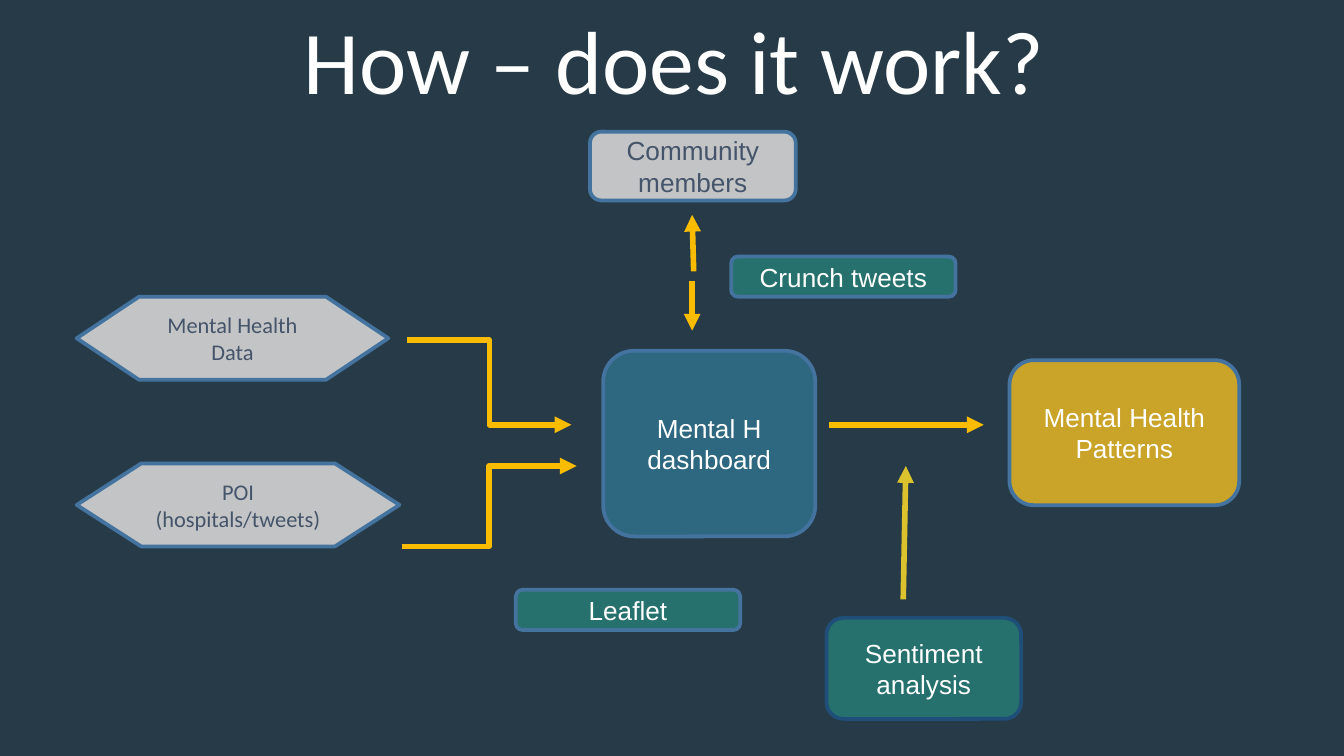
from dataclasses import dataclass

from lxml import etree
from pptx import Presentation
from pptx.dml.color import RGBColor
from pptx.enum.shapes import MSO_CONNECTOR, MSO_SHAPE
from pptx.enum.text import MSO_ANCHOR, MSO_AUTO_SIZE, PP_ALIGN
from pptx.oxml.ns import qn
from pptx.util import Cm, Pt

ROUND, HEXAGON = MSO_SHAPE.ROUNDED_RECTANGLE, MSO_SHAPE.FLOWCHART_PREPARATION
STRAIGHT, ELBOW = MSO_CONNECTOR.STRAIGHT, MSO_CONNECTOR.ELBOW
CENTER, MIDDLE = PP_ALIGN.CENTER, MSO_ANCHOR.MIDDLE
NO_FIT = MSO_AUTO_SIZE.NONE
TITLE_ONLY = 5


@dataclass(frozen=True)
class Theme:
    background: str = "273A47"
    white: str = "FFFFFF"
    slate: str = "44546A"
    grey: str = "C3C4C5"
    blue: str = "2D6880"
    gold: str = "CAA329"
    teal: str = "26716E"
    outline: str = "43739E"
    navy: str = "1F4E79"
    arrow: str = "F9BC00"
    pale_arrow: str = "DCC22C"
    heading: str = "Calibri"
    body: str = "Arial"
    title_size: int = 48
    node_size: int = 14
    source_size: int = 12
    outline_width: int = 2
    arrow_width: int = 3


T = Theme()


def rgb(color):
    return RGBColor.from_string(color)


def write(tf, text, *, size=T.node_size, font=T.body, color=T.white, spacing=None):
    """Fill a text frame with centred paragraphs, one per line of text."""
    tf.word_wrap = True
    tf.auto_size = NO_FIT
    tf.vertical_anchor = MIDDLE
    for i, line in enumerate(text.split("\n")):
        p = tf.add_paragraph() if i else tf.paragraphs[0]
        p.alignment = CENTER
        p.line_spacing = spacing
        r = p.add_run()
        r.text = line
        r.font.size = Pt(size)
        r.font.name = font
        r.font.color.rgb = rgb(color)


def node(s, box, offset, extent, text, fill, *, shape=ROUND, outline=T.outline, **fmt):
    """Add a labelled shape at an offset from the region's corner."""
    sp = s.shapes.add_shape(shape, Cm(box[0] + offset[0]), Cm(box[1] + offset[1]),
                            Cm(extent[0]), Cm(extent[1]))
    sp.shadow.inherit = False
    sp.fill.solid()
    sp.fill.fore_color.rgb = rgb(fill)
    sp.line.color.rgb = rgb(outline)
    sp.line.width = Pt(T.outline_width)
    write(sp.text_frame, text, **fmt)


def arrow(s, box, start, end, *, kind=STRAIGHT, color=T.arrow):
    """Add an arrow between two points relative to the region's corner."""
    x, y = box[:2]
    cx = s.shapes.add_connector(kind, Cm(x + start[0]), Cm(y + start[1]),
                                Cm(x + end[0]), Cm(y + end[1]))
    cx.line.color.rgb = rgb(color)
    cx.line.width = Pt(T.arrow_width)
    spPr = cx._element.spPr
    etree.SubElement(spPr.find(qn("a:ln")), qn("a:tailEnd"), type="triangle")
    etree.SubElement(spPr, qn("a:effectLst"))


def add_title(s, box, text):
    """Heading in the title placeholder."""
    sp = s.shapes.title
    sp.left, sp.top, sp.width, sp.height = map(Cm, box)
    tf = sp.text_frame
    tf.margin_left = tf.margin_right = Cm(0.18)
    tf.margin_top = tf.margin_bottom = Cm(0.1)
    write(tf, text, size=T.title_size, font=T.heading, spacing=0.9)


def add_sources(s, box):
    """Data sources feeding the dashboard from the left."""
    height = 1.57
    sources = [("Mental Health Data", 5.89), ("POI (hospitals/tweets)", 6.1)]
    for i, (text, width) in enumerate(sources):
        node(s, box, (0, i * (box[3] - height)), (width, height), text, T.grey,
             shape=HEXAGON, size=T.source_size, font=T.heading, color=T.slate)
    arrow(s, box, (6.25, 0.82), (9.35, 2.42), kind=ELBOW)
    arrow(s, box, (6.14, box[3]), (box[2], 3.2), kind=ELBOW)


def add_hub(s, box):
    """Dashboard, its community and the tools around it."""
    tag = (4.24, 0.76)
    node(s, box, (1.65, 4.14), (4.01, 3.51), "Mental H\ndashboard", T.blue)
    node(s, box, (1.4, 0), (3.89, 1.3), "Community members", T.grey, color=T.slate)
    node(s, box, (box[2] - tag[0], 2.36), tag, "Crunch tweets", T.teal)
    node(s, box, (0, box[3] - tag[1]), tag, "Leaflet", T.teal)
    arrow(s, box, (3.33, 2.82), (3.33, 3.76))
    arrow(s, box, (3.36, 2.64), (3.33, 1.57))


def add_results(s, box):
    """Patterns found, supported by sentiment analysis."""
    patterns, sentiment = (4.34, 2.74), (3.68, 1.91)
    node(s, box, (box[2] - patterns[0], 0), patterns, "Mental Health Patterns", T.gold)
    node(s, box, (0, box[3] - sentiment[1]), sentiment, "Sentiment analysis", T.teal,
         outline=T.navy)
    arrow(s, box, (0.05, 1.22), (2.97, 1.22))
    arrow(s, box, (1.45, 4.52), (1.5, 2), color=T.pale_arrow)


def main():
    prs = Presentation()
    prs.slide_width, prs.slide_height = Cm(25.4), Cm(14.29)
    s = prs.slides.add_slide(prs.slide_layouts[TITLE_ONLY])
    s.background.fill.solid()
    s.background.fill.fore_color.rgb = rgb(T.background)

    # Regions: left, top, width, height in centimetres
    add_title(s, (1.78, 0.3, 21.92, 1.88), "How – does it work?")
    add_sources(s, (1.45, 5.61, 9.45, 4.72))
    add_hub(s, (9.75, 2.49, 8.31, 9.42))
    add_results(s, (15.62, 6.81, 7.8, 6.78))
    prs.save("out.pptx")


if __name__ == "__main__":
    main()
